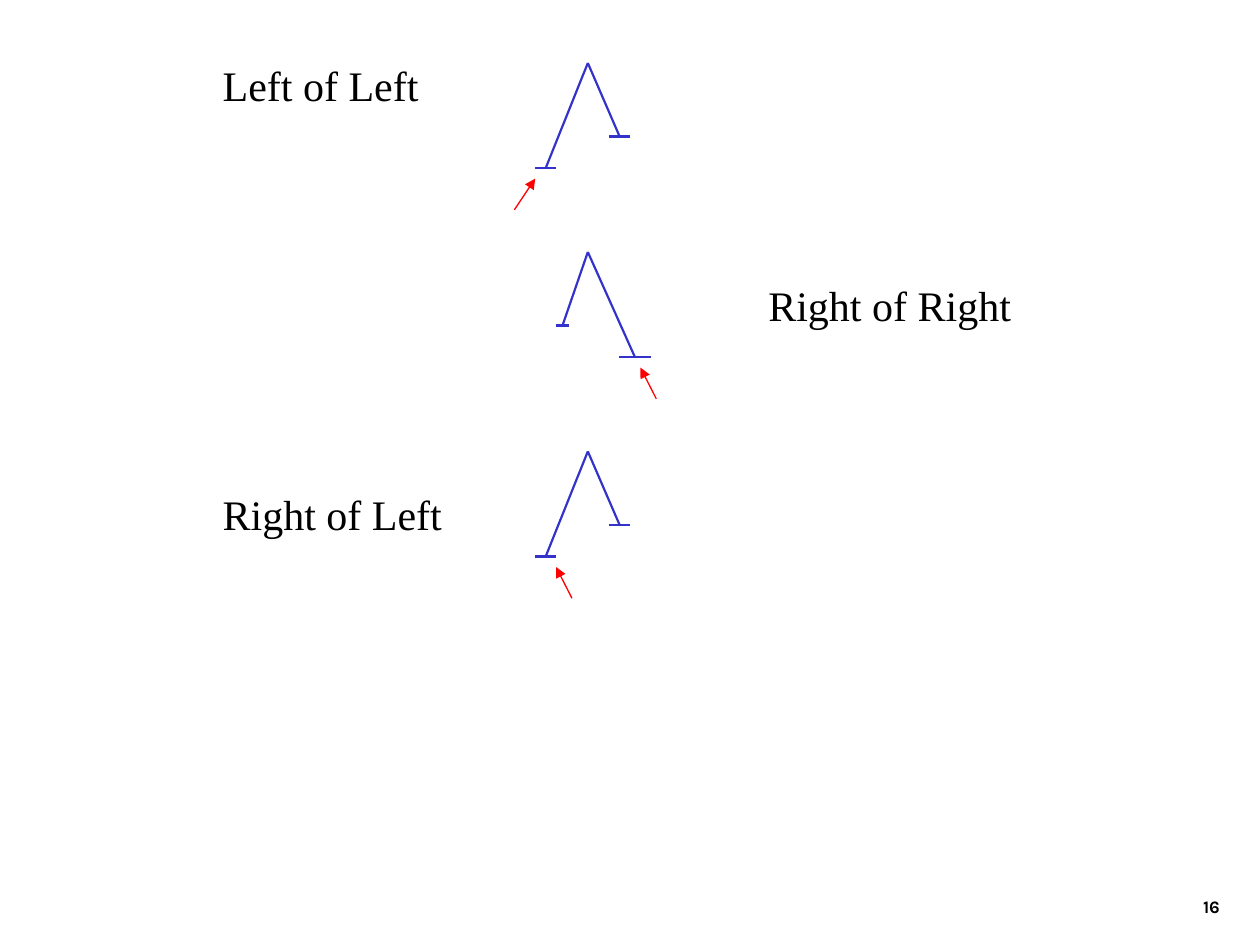
from pptx import Presentation
from pptx.dml.color import RGBColor
from pptx.enum.shapes import MSO_CONNECTOR as CONN
from pptx.enum.text import MSO_ANCHOR as ANCHOR, PP_ALIGN as ALIGN
from pptx.oxml.ns import qn
from pptx.util import Cm, Pt
from lxml import etree

COLORS = {"text": "000000", "branch": "3333CC", "arrow": "FF0000"}


def add_text(s, text, box, font, size, bold=False, align=ALIGN.LEFT, anchor=ANCHOR.TOP):
    sp = s.shapes.add_textbox(*(Cm(v) for v in box))
    tf = sp.text_frame
    tf.word_wrap = True
    tf.vertical_anchor = anchor
    p = tf.paragraphs[0]
    p.alignment = align
    r = p.add_run()
    r.text = text
    r.font.name = font
    r.font.size = Pt(size)
    r.font.bold = bold
    r.font.color.rgb = RGBColor.from_string(COLORS["text"])


def add_line(group, x1, y1, x2, y2, color, width):
    line = group.shapes.add_connector(CONN.STRAIGHT, Cm(x1), Cm(y1), Cm(x2), Cm(y2))
    line.line.color.rgb = RGBColor.from_string(COLORS[color])
    line.line.width = Pt(width)
    etree.SubElement(line._element.spPr, qn("a:effectLst"))
    return line


prs = Presentation()
prs.slide_width, prs.slide_height = Cm(25.4), Cm(19.05)
s = prs.slides.add_slide(prs.slide_layouts[6])

add_text(s, "16", (19.56, 17.35, 5.28, 1.27), "Karla", 10, True, ALIGN.RIGHT, ANCHOR.BOTTOM)

# Label, left, top, width
labels = [
    ("Left of Left", 4.24, 1.07, 4.88),
    ("Right of Right", 15.24, 5.51, 5.72),
    ("Right of Left", 4.24, 9.73, 5.28),
]
for label, left, top, width in labels:
    add_text(s, label, (left, top, width, 1.27), "Times New Roman", 24)

# Legs are (dx, dy, half width of foot) from the apex; arrows are (tail dx, tip dx)
APEX_X = 11.85
ARROW_TAIL, ARROW_TIP = 2.96, 2.33
left_heavy = [(-0.85, 2.12, 0.21), (0.64, 1.48, 0.21)]
right_heavy = [(-0.51, 1.48, 0.13), (0.95, 2.12, 0.32)]
trees = [
    (1.27, left_heavy, (-1.48, -1.06)),
    (9.1, left_heavy, (-0.32, -0.64)),
    (5.08, right_heavy, (1.38, 1.06)),
]
for apex_y, legs, (tail_dx, tip_dx) in trees:
    group = s.shapes.add_group_shape()
    for dx, dy, half in legs:
        x, y = APEX_X + dx, apex_y + dy
        add_line(group, APEX_X, apex_y, x, y, "branch", 1.25)
        add_line(group, x - half, y, x + half, y, "branch", 1.25)
    arrow = add_line(group, APEX_X + tail_dx, apex_y + ARROW_TAIL,
                     APEX_X + tip_dx, apex_y + ARROW_TIP, "arrow", 0.75)
    etree.SubElement(arrow.line._get_or_add_ln(), qn("a:tailEnd"), type="triangle")

prs.save("out.pptx")
